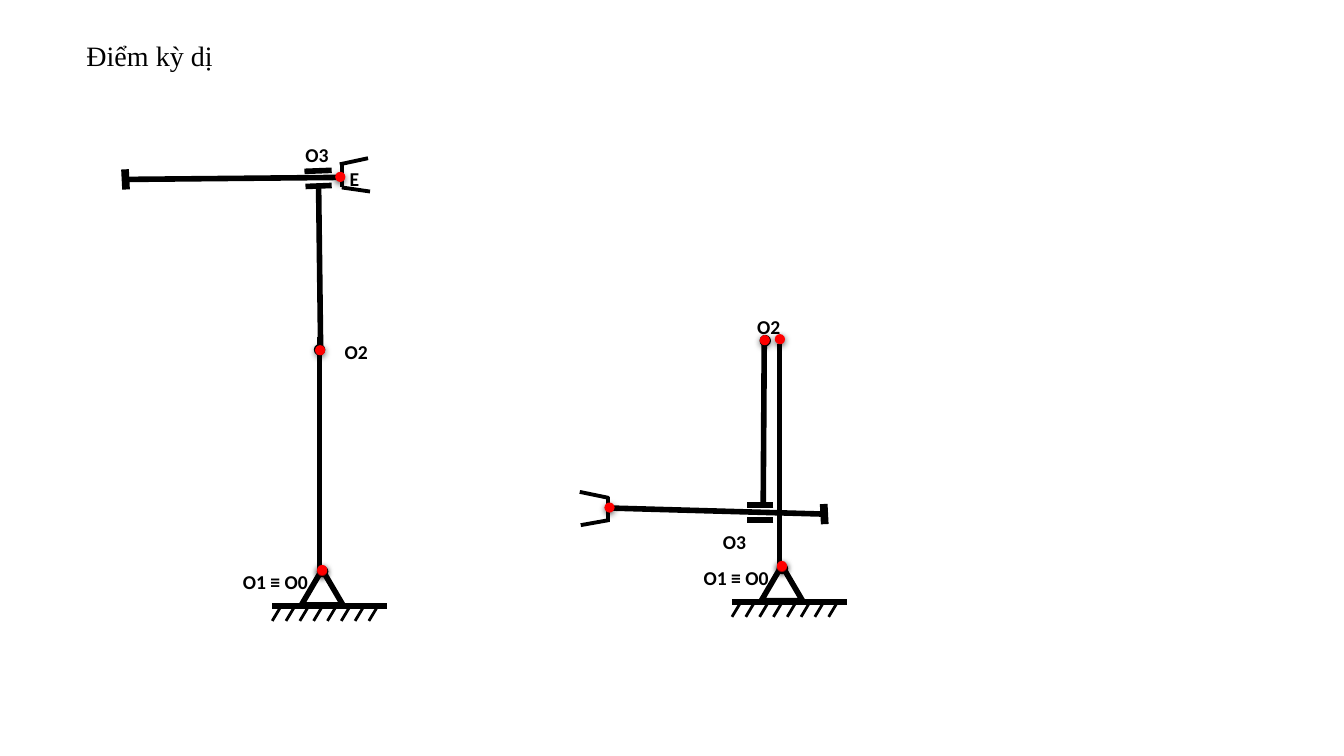
from dataclasses import dataclass
from lxml import etree
from pptx import Presentation, util as u
from pptx.dml.color import RGBColor
from pptx.enum import shapes, text
from pptx.oxml import parse_xml
from pptx.oxml.ns import nsdecls, qn


@dataclass(frozen=True)
class Theme:
    ink: RGBColor = RGBColor(0, 0, 0)
    joint: RGBColor = RGBColor(255, 0, 0)
    label_font: str = "Calibri"
    title_font: str = "Times New Roman"
    label_size: int = 14
    title_size: int = 20
    link: float = 4
    hatch: float = 2
    gripper: float = 2.75
    stop: float = 5.5


theme = Theme()
SHADOW = (
    f'<a:effectLst {nsdecls("a")}><a:outerShdw blurRad="57150" dist="19050" dir="5400000" '
    'algn="ctr" rotWithShape="0"><a:srgbClr val="000000"><a:alpha val="63000"/>'
    '</a:srgbClr></a:outerShdw></a:effectLst>'
)

deck = Presentation()
deck.slide_width, deck.slide_height = u.Inches(13.33), u.Inches(7.5)
page = deck.slides.add_slide(deck.slide_layouts[6])


def draw_lines(parent, width, lines):
    for ends in lines:
        line = parent.add_connector(shapes.MSO_CONNECTOR.STRAIGHT, *map(u.Inches, ends))
        line.line.color.rgb = theme.ink
        line.line.width = u.Pt(width)
        etree.SubElement(line._element.spPr, qn("a:effectLst"))


def draw_shape(kind, box, color, width, filled=True):
    shape = page.shapes.add_shape(kind, *map(u.Inches, box))
    shape.shadow.inherit = False
    if filled:
        shape.fill.solid()
        shape.fill.fore_color.rgb = color
    else:
        shape.fill.background()
    shape.line.color.rgb = color
    shape.line.width = u.Pt(width)
    return shape


# Links of the stretched arm (left) and the folded arm (right)
draw_lines(page.shapes, theme.link, [
    (3.18, 3.45, 3.16, 1.85), (3.17, 5.67, 3.17, 3.34), (1.25, 1.78, 3.37, 1.76),
    (7.58, 3.39, 7.57, 4.99), (7.73, 5.64, 7.73, 3.41), (8.17, 5.1, 6.04, 5.04),
])

# Fixed supports: hatched ground and triangle
for left, top in [(2.7, 6.01), (7.26, 5.97)]:
    ground = page.shapes.add_group_shape().shapes
    draw_lines(ground, theme.link, [(left, top, left + 1.14, top)])
    hatches = [left + 0.137 * step for step in range(8)]
    draw_lines(ground, theme.hatch, [(x + 0.09, top, x, top + 0.15) for x in hatches])
    draw_shape(shapes.MSO_SHAPE.ISOSCELES_TRIANGLE, (left + 0.29, top - 0.36, 0.41, 0.35),
               theme.ink, theme.link, filled=False)

# Slider guides and grippers
for width, lines in [
    (theme.link, [(3.03, 1.85, 3.29, 1.84), (3.02, 1.7, 3.29, 1.69)]),
    (theme.link, [(7.67, 5.01, 7.41, 5.01), (7.67, 5.16, 7.41, 5.16)]),
    (theme.gripper, [(3.39, 1.61, 3.39, 1.86), (3.39, 1.86, 3.67, 1.9),
                     (3.37, 1.63, 3.65, 1.57)]),
    (theme.gripper, [(6.03, 5.18, 6.03, 4.93), (6.04, 4.94, 5.75, 4.88),
                     (6.04, 5.16, 5.76, 5.21)]),
]:
    draw_lines(page.shapes.add_group_shape().shapes, width, lines)

# End stops of the sliding rods
draw_lines(page.shapes, theme.stop, [(1.24, 1.68, 1.25, 1.88), (8.18, 5.2, 8.17, 5)])

# Joints: black pivots under red points
for left, top in [(3.15, 5.62), (3.12, 3.42), (7.71, 5.59), (7.54, 3.33)]:
    draw_shape(shapes.MSO_SHAPE.OVAL, (left, top, 0.1, 0.1), theme.ink, 1)
for left, top in [
    (3.15, 5.62), (3.15, 5.61), (3.13, 3.43), (3.33, 1.71),
    (7.71, 5.58), (7.71, 5.57), (7.54, 3.33), (7.69, 3.32), (6, 4.99),
]:
    point = draw_shape(shapes.MSO_SHAPE.OVAL, (left, top, 0.09, 0.09), theme.joint, 0.75)
    effects = point._element.spPr.find(qn("a:effectLst"))
    point._element.spPr.replace(effects, parse_xml(SHADOW))

# Labels and title
label = {"name": theme.label_font, "size": u.Pt(theme.label_size), "bold": True}
title = {"name": theme.title_font, "size": u.Pt(theme.title_size), "bold": False}
for words, place, spacing, style in [
    ("E", (3.37, 1.61, 0.61, 0.34), 1, label),
    ("O1 ≡ O0", (2.31, 5.59, 1.25, 0.34), 1.07, label),
    ("O1 ≡ O0", (6.88, 5.55, 1.25, 0.34), 1.07, label),
    ("O2", (7.41, 3.06, 1.25, 0.34), 1.07, label),
    ("O3", (7.07, 5.19, 0.45, 0.34), 1.07, label),
    ("O2", (3.32, 3.31, 0.7, 0.34), 1.07, label),
    ("O3", (2.93, 1.35, 0.45, 0.34), 1.07, label),
    ("Điểm kỳ dị", (0.76, 0.33, 1.46, 0.44), 1, title),
]:
    box = page.shapes.add_textbox(*map(u.Inches, place))
    box.text_frame.word_wrap = style is label
    box.text_frame.auto_size = text.MSO_AUTO_SIZE.SHAPE_TO_FIT_TEXT
    para = box.text_frame.paragraphs[0]
    para.line_spacing = spacing
    span = para.add_run()
    span.text = words
    for name, value in style.items():
        setattr(span.font, name, value)
    span.font.color.rgb = theme.ink

deck.save("out.pptx")
